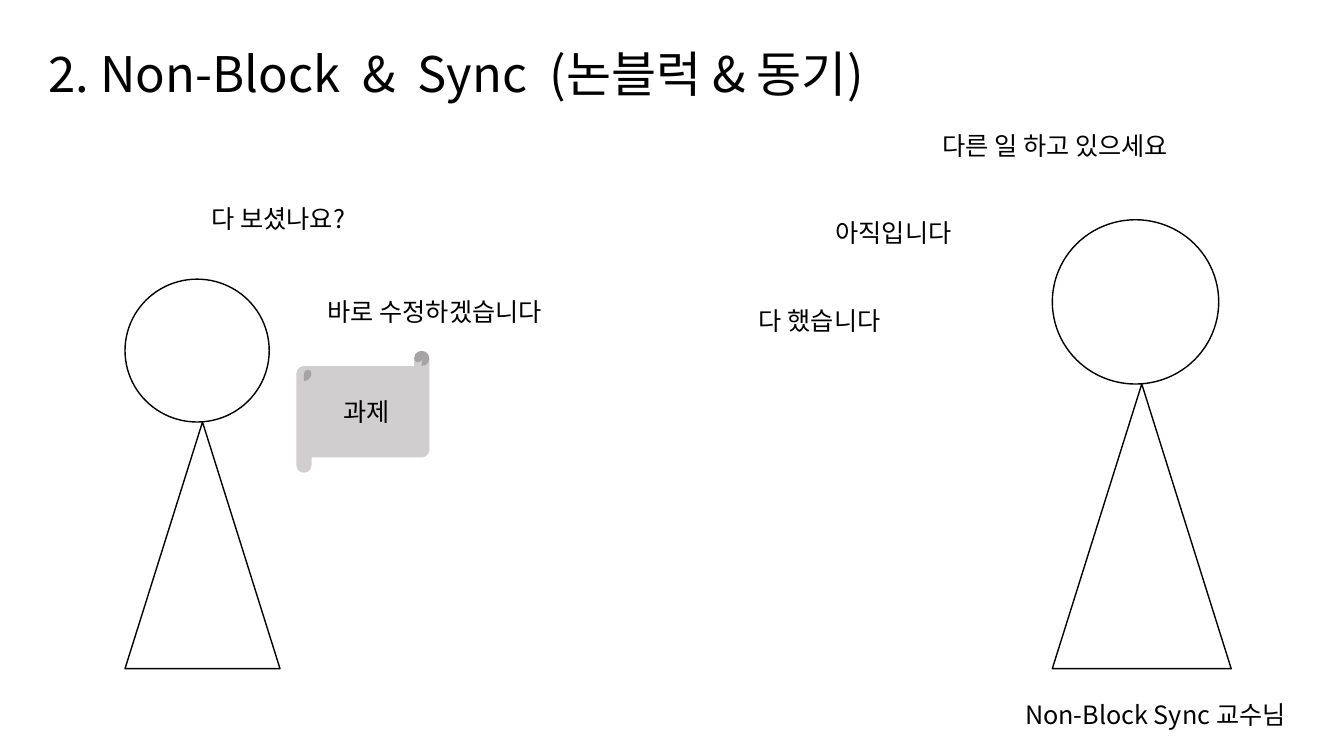
from dataclasses import dataclass

from lxml import etree
from pptx import Presentation
from pptx import util as u
from pptx.dml.color import RGBColor
from pptx.enum import shapes, text
from pptx.oxml.ns import qn

WIDTH, HEIGHT = u.Inches(13.33), u.Inches(7.5)
FONT = "Noto Sans CJK KR"
BLACK, WHITE, PAPER = "000000", "FFFFFF", "D0CECE"
GROUND = 88.45  # where both figures stand, percent of slide height
BODY_RATIO = 1.075  # body width over head width
LINE_HEIGHT = 5.33


@dataclass(frozen=True)
class Figure:
    """Stick person; every length is a percentage of the slide."""
    left: float
    top: float
    head_width: float
    head_height: float


@dataclass(frozen=True)
class Speech:
    words: str
    left: float
    top: float
    width: float


FIGURES = [
    Figure(78.3, 29.07, 12.38, 21.73),
    Figure(9.3, 36.93, 10.73, 18.9),
]
SPEECHES = [
    Speech("Non-Block Sync 교수님", 75.53, 91.87, 21.98),
    Speech("다른 일 하고 있으세요", 69.38, 16.53, 20.1),
    Speech("다 보셨나요?", 15, 26.27, 12.53),
    Speech("아직입니다", 61.43, 28.13, 12.53),
    Speech("다 했습니다", 55.73, 39.73, 12.53),
    Speech("바로 수정하겠습니다", 23.63, 38.53, 20.4),
]


def rgb(value: str) -> RGBColor:
    return RGBColor.from_string(value)


def share(left: float, top: float, width: float, height: float) -> list[int]:
    """Turn percentages of the slide into left, top, width and height."""
    sizes = (WIDTH, HEIGHT, WIDTH, HEIGHT)
    return [round(size * part / 100)
            for size, part in zip(sizes, (left, top, width, height))]


def write(sp, words: str, size: float = 18, align=text.PP_ALIGN.LEFT,
          anchor=text.MSO_ANCHOR.TOP,
          fit=text.MSO_AUTO_SIZE.SHAPE_TO_FIT_TEXT) -> None:
    tf = sp.text_frame
    tf.word_wrap = True
    tf.auto_size = fit
    tf.vertical_anchor = anchor
    p = tf.paragraphs[0]
    p.alignment = align
    r = p.add_run()
    r.text = words
    r.font.size = u.Pt(size)
    r.font.name = FONT
    r.font.color.rgb = rgb(BLACK)
    ea = etree.Element(qn("a:ea"), typeface=FONT)
    r.font._element.find(qn("a:latin")).addnext(ea)


def add_filled(parent, kind, box: list[int], fill: str, line: str = ""):
    sp = parent.add_shape(kind, *box)
    sp.shadow.inherit = False
    sp.fill.solid()
    sp.fill.fore_color.rgb = rgb(fill)
    if line:
        sp.line.color.rgb = rgb(line)
        sp.line.width = u.Pt(1)
    else:
        sp.line.fill.background()
    return sp


def add_figure(s, figure: Figure) -> None:
    person = s.shapes.add_group_shape().shapes
    neck = figure.top + figure.head_height
    head = share(figure.left, figure.top, figure.head_width, figure.head_height)
    body = share(figure.left, neck, figure.head_width * BODY_RATIO, GROUND - neck)
    add_filled(person, shapes.MSO_SHAPE.OVAL, head, WHITE, BLACK)
    add_filled(person, shapes.MSO_SHAPE.ISOSCELES_TRIANGLE, body, WHITE, BLACK)


def add_speech(s, speech: Speech) -> None:
    box = share(speech.left, speech.top, speech.width, LINE_HEIGHT)
    write(s.shapes.add_textbox(*box), speech.words)


def main() -> None:
    prs = Presentation()
    prs.slide_width, prs.slide_height = WIDTH, HEIGHT
    s = prs.slides.add_slide(prs.slide_layouts.get_by_name("Title Only"))

    title = s.shapes.title
    title.left, title.top, title.width, title.height = share(2.85, 5.07, 77.93, 9.2)
    write(title, "2. Non-Block  &  Sync  (논블럭 & 동기)", size=35)

    for figure in FIGURES:
        add_figure(s, figure)
    scroll = add_filled(s.shapes, shapes.MSO_SHAPE.HORIZONTAL_SCROLL,
                        share(22.05, 46.4, 9.9, 16.13), PAPER)
    write(scroll, "과제", align=text.PP_ALIGN.CENTER,
          anchor=text.MSO_ANCHOR.MIDDLE, fit=text.MSO_AUTO_SIZE.NONE)
    for speech in SPEECHES:
        add_speech(s, speech)

    prs.save("out.pptx")


if __name__ == "__main__":
    main()
